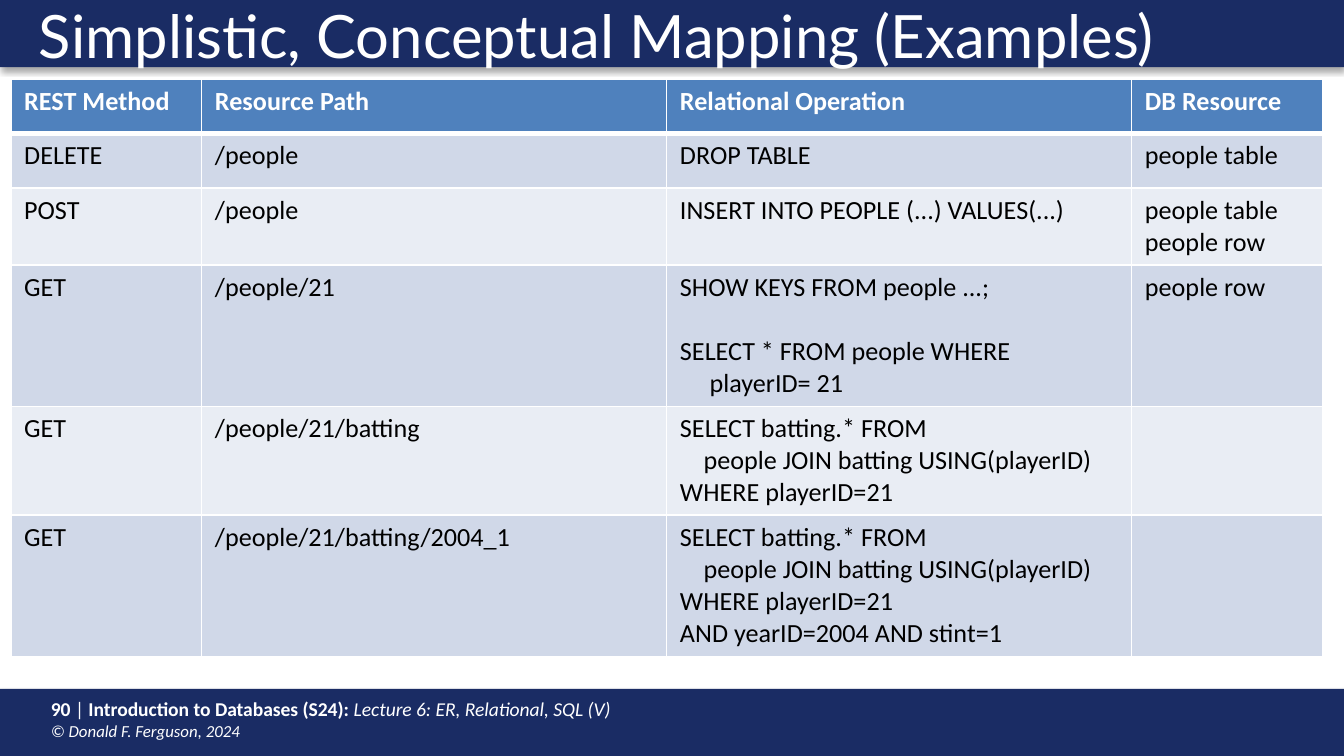
"""Build the slide that maps REST methods onto relational operations."""
from dataclasses import dataclass

from pptx import Presentation
from pptx.dml.color import RGBColor
from pptx.enum.shapes import MSO_SHAPE as Preset
from pptx.enum.text import MSO_ANCHOR as Anchor, PP_ALIGN as Align
from pptx.oxml import parse_xml
from pptx.oxml.ns import qn
from pptx.slide import Slide
from pptx.table import _Cell as Cell
from pptx.util import Inches, Pt

NAVY = RGBColor(0x1A, 0x2C, 0x64)
HEADER_BLUE = RGBColor(0x4F, 0x81, 0xBD)
BAND_DARK = RGBColor(0xD0, 0xD8, 0xE8)
BAND_LIGHT = RGBColor(0xE9, 0xED, 0xF4)
WHITE = RGBColor(0xFF, 0xFF, 0xFF)
BLACK = RGBColor(0x00, 0x00, 0x00)

SLIDE_WIDTH = 10
SLIDE_HEIGHT = SLIDE_WIDTH * 9 / 16
BAR_HEIGHT = 0.5
COLUMN_WIDTHS = (1.42, 3.46, 3.46, 1.42)
STATEMENT_GAP = Pt(17)

DRAWING_NS = "http://schemas.openxmlformats.org/drawingml/2006/main"
SHADOW = (
    f'<a:effectLst xmlns:a="{DRAWING_NS}">'
    f'<a:outerShdw blurRad="{Pt(3.1)}" dist="{Pt(1.8)}" dir="5400000" rotWithShape="0">'
    '<a:srgbClr val="000000"><a:alpha val="35000"/></a:srgbClr>'
    "</a:outerShdw></a:effectLst>"
)


@dataclass(frozen=True)
class Mapping:
    method: str
    resource_path: str
    operation: str
    db_resource: str
    height: float


@dataclass(frozen=True)
class FooterPart:
    text: str
    size: float = 10.5
    bold: bool = False
    italic: bool = False


HEADER = Mapping("REST Method", "Resource Path", "Relational Operation", "DB Resource", 0.4)
BATTING_QUERY = (
    "SELECT batting.* FROM\v    people JOIN batting USING(playerID)\vWHERE playerID=21"
)
MAPPINGS = (
    Mapping("DELETE", "/people", "DROP TABLE", "people table", 0.41),
    Mapping("POST", "/people", "INSERT INTO PEOPLE (...) VALUES(...)",
            "people table\vpeople row", 0.57),
    Mapping("GET", "/people/21",
            "SHOW KEYS FROM people ...;\nSELECT * FROM people WHERE\v     playerID= 21",
            "people row", 1.05),
    Mapping("GET", "/people/21/batting", BATTING_QUERY, "", 0.81),
    Mapping("GET", "/people/21/batting/2004_1",
            BATTING_QUERY + "\vAND yearID=2004 AND stint=1", "", 1.05),
)
FOOTER_LINES = (
    (
        FooterPart("90 ", bold=True),
        FooterPart("|"),
        FooterPart(" Introduction to Databases (S24): ", bold=True),
        FooterPart("Lecture 6: ER, Relational, SQL (V)", italic=True),
    ),
    (FooterPart("© Donald F. Ferguson, 2024", size=9, italic=True),),
)


def add_bar(slide: Slide, top: float) -> None:
    bar = slide.shapes.add_shape(
        Preset.RECTANGLE, 0, Inches(top), Inches(SLIDE_WIDTH), Inches(BAR_HEIGHT)
    )
    bar.fill.solid()
    bar.fill.fore_color.rgb = NAVY
    bar.line.fill.background()
    properties = bar._element.find(qn("p:spPr"))
    properties.append(parse_xml(SHADOW))


def add_footer(slide: Slide) -> None:
    footer = slide.shapes.add_textbox(Inches(0.28), Inches(5.14), Inches(7.42), Inches(0.43))
    footer.text_frame.word_wrap = True
    paragraph = footer.text_frame.paragraphs[0]
    for number, parts in enumerate(FOOTER_LINES):
        if number:
            paragraph.add_line_break()
        for part in parts:
            run = paragraph.add_run()
            run.text = part.text
            run.font.name = "Calibri"
            run.font.size = Pt(part.size)
            run.font.bold = part.bold
            run.font.italic = part.italic
            run.font.color.rgb = WHITE


def format_title(slide: Slide) -> None:
    title = slide.shapes.title
    slide.shapes._spTree.append(title._element)
    title.left, title.top = Inches(0.19), Inches(0)
    title.width, title.height = Inches(9.48), Inches(0.48)
    title.text_frame.text = "Simplistic, Conceptual Mapping (Examples)"
    title.text_frame.vertical_anchor = Anchor.TOP
    paragraph = title.text_frame.paragraphs[0]
    paragraph.alignment = Align.LEFT
    paragraph.line_spacing = 0.9
    font = paragraph.runs[0].font
    font.name, font.size = "Lato", Pt(32)
    font.color.rgb = WHITE


def add_borders(cell: Cell, bottom_width: float) -> None:
    properties = cell._tc.get_or_add_tcPr()
    widths = {"lnL": 1, "lnR": 1, "lnT": 1, "lnB": bottom_width}
    for position, (side, width) in enumerate(widths.items()):
        border = parse_xml(
            f'<a:{side} xmlns:a="{DRAWING_NS}" w="{Pt(width)}">'
            f'<a:solidFill><a:srgbClr val="{WHITE}"/></a:solidFill></a:{side}>'
        )
        properties.insert(position, border)


def fill_cell(cell: Cell, text: str, fill: RGBColor, color: RGBColor, bold: bool) -> None:
    cell.fill.solid()
    cell.fill.fore_color.rgb = fill
    cell.text_frame.text = text
    for number, paragraph in enumerate(cell.text_frame.paragraphs):
        if number:
            paragraph.space_before = STATEMENT_GAP
        paragraph.font.size = Pt(14)
        for run in paragraph.runs:
            run.font.name, run.font.size = "Calibri", Pt(14)
            run.font.bold = bold
            run.font.color.rgb = color


def add_mapping_table(slide: Slide) -> None:
    rows = (HEADER, *MAPPINGS)
    table = slide.shapes.add_table(
        len(rows), len(COLUMN_WIDTHS), Inches(0.08), Inches(0.59),
        Inches(sum(COLUMN_WIDTHS)), Inches(sum(row.height for row in rows)),
    ).table
    for column, width in zip(table.columns, COLUMN_WIDTHS):
        column.width = Inches(width)
    for number, mapping in enumerate(rows):
        table.rows[number].height = Inches(mapping.height)
        is_header = number == 0
        band = BAND_DARK if number % 2 else BAND_LIGHT
        texts = (mapping.method, mapping.resource_path, mapping.operation, mapping.db_resource)
        for cell, text in zip(table.rows[number].cells, texts):
            fill_cell(cell, text, HEADER_BLUE if is_header else band,
                      WHITE if is_header else BLACK, is_header)
            if is_header:
                add_borders(cell, bottom_width=3)


def main() -> None:
    presentation = Presentation()
    presentation.slide_width = Inches(SLIDE_WIDTH)
    presentation.slide_height = Inches(SLIDE_HEIGHT)
    slide = presentation.slides.add_slide(presentation.slide_layouts[5])
    add_bar(slide, SLIDE_HEIGHT - BAR_HEIGHT)
    add_footer(slide)
    add_bar(slide, 0)
    format_title(slide)
    add_mapping_table(slide)
    presentation.save("out.pptx")


if __name__ == "__main__":
    main()
